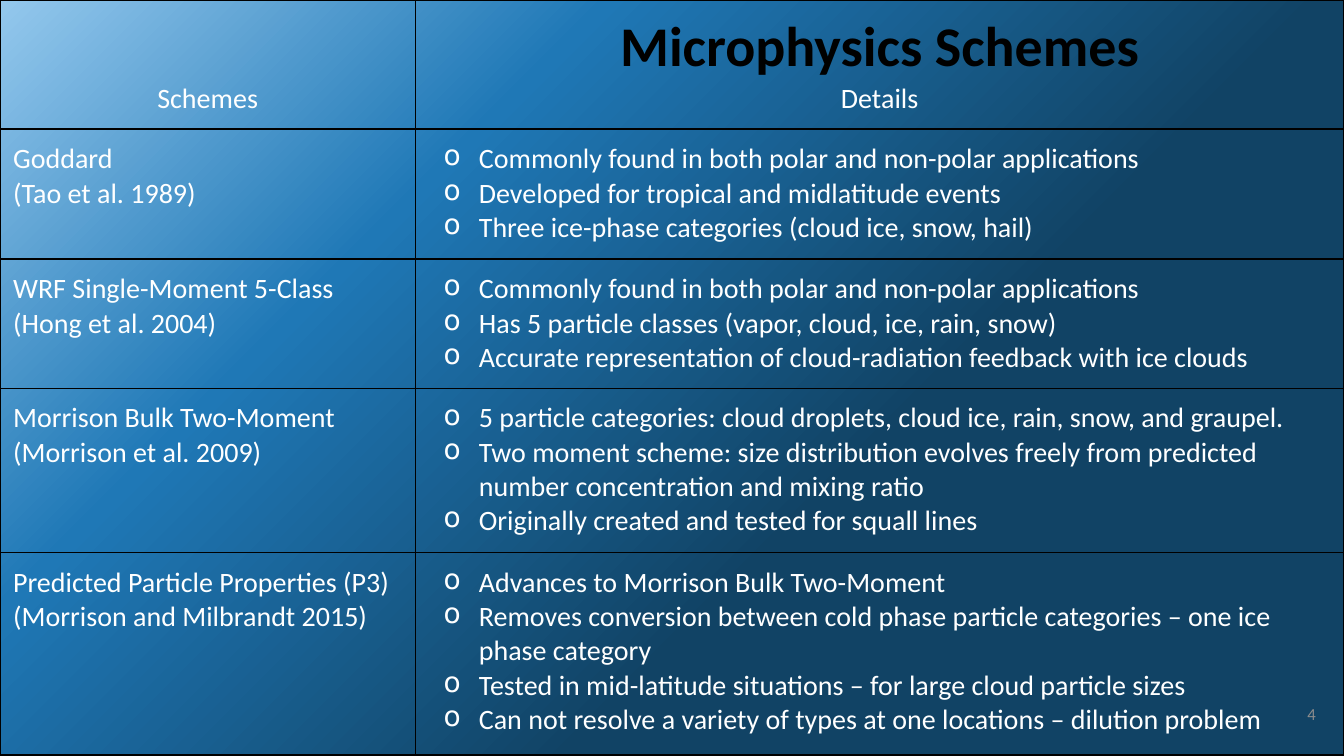
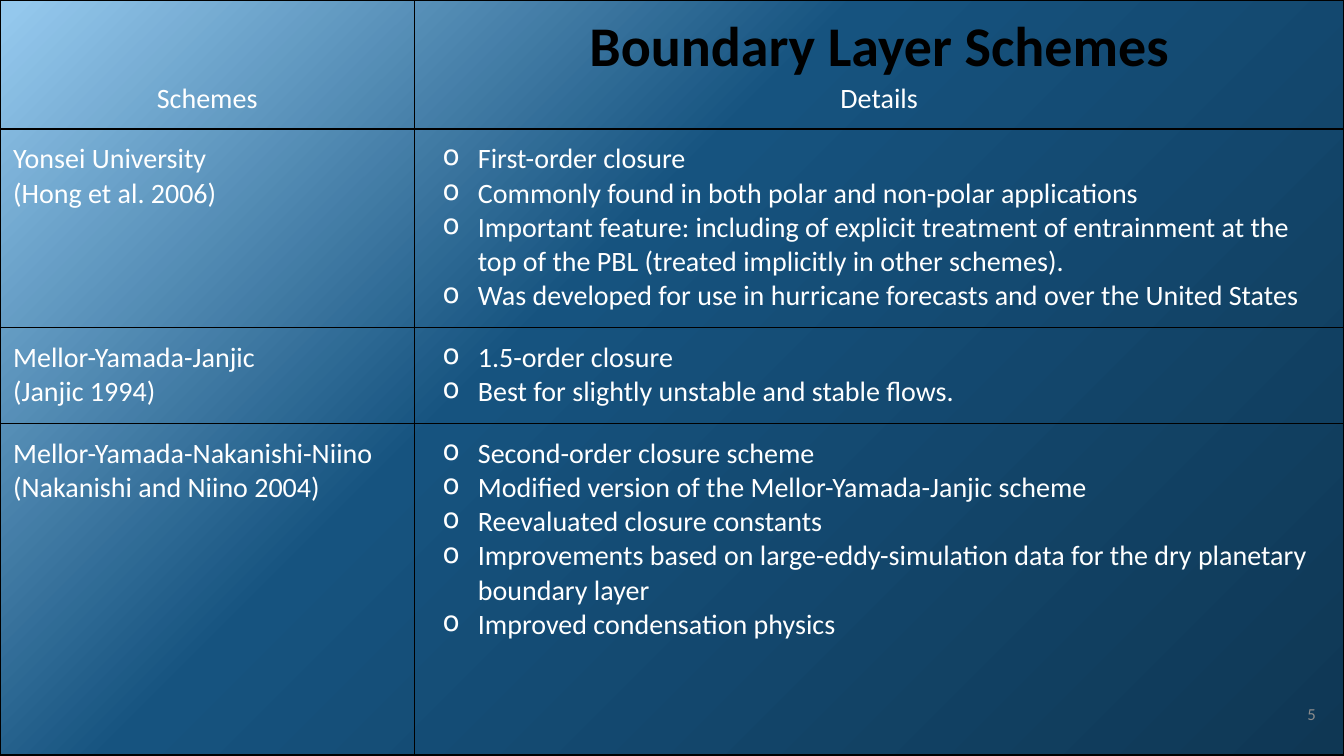
"""Build two slides that compare weather model schemes in tables."""
from dataclasses import dataclass

from pptx import Presentation
from pptx.dml.color import RGBColor
from pptx.enum.text import MSO_ANCHOR, PP_ALIGN
from pptx.oxml import parse_xml
from pptx.oxml.ns import nsdecls
from pptx.slide import Slide
from pptx.table import _Cell
from pptx.text.text import TextFrame
from pptx.util import Inches, Pt

FONT = "Calibri"
WHITE = "FFFFFF"
BLACK = "000000"
GREY = "8C8C8C"
SLIDE_WIDTH = 13.33
SLIDE_HEIGHT = 7.5
TABLE_HEIGHT = 7.49
CELL_MARGIN = 0.13
BULLET_INDENT = 0.5
BULLET_HANGING = 0.35


@dataclass(frozen=True)
class Scheme:
    name: str
    reference: str
    details: tuple[str, ...]
    height: float


@dataclass(frozen=True)
class Gradient:
    stops: tuple[tuple[int, str], ...]
    left_top: int
    right_bottom: int


@dataclass(frozen=True)
class SchemeSlide:
    title: str
    number: int
    name_width: float
    header_height: float
    gradient: Gradient
    schemes: tuple[Scheme, ...]


SLIDES = (
    SchemeSlide(
        "Microphysics Schemes", 4, 4.12, 1.28,
        Gradient(((0, "94C8ED"), (29, "1F78B6"), (63, "114365")), 0, 100),
        (
            Scheme("Goddard", "(Tao et al. 1989)", (
                "Commonly found in both polar and non-polar applications",
                "Developed for tropical and midlatitude events",
                "Three ice-phase categories (cloud ice, snow, hail)",
            ), 1.29),
            Scheme("WRF Single-Moment 5-Class", "(Hong et al. 2004)", (
                "Commonly found in both polar and non-polar applications",
                "Has 5 particle classes (vapor, cloud, ice, rain, snow)",
                "Accurate representation of cloud-radiation feedback with ice clouds",
            ), 1.28),
            Scheme("Morrison Bulk Two-Moment", "(Morrison et al. 2009)", (
                "5 particle categories: cloud droplets, cloud ice, rain, snow, and graupel.",
                "Two moment scheme: size distribution evolves freely from predicted "
                "number concentration and mixing ratio",
                "Originally created and tested for squall lines",
            ), 1.63),
            Scheme("Predicted Particle Properties (P3)", "(Morrison and Milbrandt 2015)", (
                "Advances to Morrison Bulk Two-Moment",
                "Removes conversion between cold phase particle categories – one ice "
                "phase category",
                "Tested in mid-latitude situations – for large cloud particle sizes",
                "Can not resolve a variety of types at one locations – dilution problem",
            ), 2.01),
        ),
    ),
    SchemeSlide(
        "Boundary Layer Schemes", 5, 4.11, 1.28,
        Gradient(((0, "0F3754"), (59, "16537F"), (99, "94C8ED")), 100, 0),
        (
            Scheme("Yonsei University", "(Hong et al. 2006)", (
                "First-order closure",
                "Commonly found in both polar and non-polar applications",
                "Important feature: including of explicit treatment of entrainment at the "
                "top of the PBL (treated implicitly in other schemes).",
                "Was developed for use in hurricane forecasts and over the United States",
            ), 1.97),
            Scheme("Mellor-Yamada-Janjic", "(Janjic 1994)", (
                "1.5-order closure",
                "Best for slightly unstable and stable flows.",
            ), 0.95),
            Scheme("Mellor-Yamada-Nakanishi-Niino", "(Nakanishi and Niino 2004)", (
                "Second-order closure scheme",
                "Modified version of the Mellor-Yamada-Janjic scheme",
                "Reevaluated closure constants",
                "Improvements based on large-eddy-simulation data for the dry planetary "
                "boundary layer",
                "Improved condensation physics",
            ), 3.29),
        ),
    ),
)


def color(value: str) -> RGBColor:
    return RGBColor.from_string(value)


def solid_fill(value: str) -> str:
    return f'<a:solidFill><a:srgbClr val="{value}"/></a:solidFill>'


def write(frame: TextFrame, text: str, *, size: int = 20, fill: str = WHITE,
          bold: bool = False, align: PP_ALIGN = PP_ALIGN.LEFT, bullet: bool = False) -> None:
    first = frame.paragraphs[0]
    paragraph = frame.add_paragraph() if first.runs else first
    paragraph.alignment = align
    run = paragraph.add_run()
    run.text = text
    run.font.name = FONT
    run.font.size = Pt(size)
    run.font.bold = bold
    run.font.color.rgb = color(fill)
    if bullet:
        properties = paragraph._p.get_or_add_pPr()
        properties.set("marL", str(Inches(BULLET_INDENT)))
        properties.set("indent", str(-Inches(BULLET_HANGING)))
        properties.append(parse_xml(
            f'<a:buClr {nsdecls("a")}><a:srgbClr val="{WHITE}"/></a:buClr>'))
        properties.append(parse_xml(f'<a:buChar {nsdecls("a")} char="o"/>'))


def set_background(slide: Slide, gradient: Gradient) -> None:
    stops = "".join(
        f'<a:gs pos="{position * 1000}"><a:srgbClr val="{value}"/></a:gs>'
        for position, value in gradient.stops)
    start, end = gradient.left_top * 1000, gradient.right_bottom * 1000
    slide.element.cSld.insert(0, parse_xml(
        f'<p:bg {nsdecls("p", "a")}><p:bgPr><a:gradFill rotWithShape="1">'
        f'<a:gsLst>{stops}</a:gsLst><a:path path="circle">'
        f'<a:fillToRect l="{start}" t="{start}" r="{end}" b="{end}"/></a:path>'
        '</a:gradFill><a:effectLst/></p:bgPr></p:bg>'))


def format_cell(cell: _Cell) -> None:
    margin = Inches(CELL_MARGIN)
    cell.margin_left = cell.margin_right = margin
    cell.margin_top = cell.margin_bottom = margin
    cell.fill.background()
    properties = cell._tc.get_or_add_tcPr()
    for index, side in enumerate("LRTB"):
        properties.insert(index, parse_xml(
            f'<a:ln{side} {nsdecls("a")} w="{Pt(1)}">{solid_fill(BLACK)}</a:ln{side}>'))


def add_scheme_table(slide: Slide, content: SchemeSlide) -> None:
    table = slide.shapes.add_table(
        len(content.schemes) + 1, 2, Inches(0), Inches(0),
        Inches(SLIDE_WIDTH), Inches(TABLE_HEIGHT)).table
    table.first_row = table.horz_banding = False
    table.columns[0].width = Inches(content.name_width)
    table.columns[1].width = Inches(SLIDE_WIDTH - content.name_width)
    heights = (content.header_height, *(scheme.height for scheme in content.schemes))
    for row, height in zip(table.rows, heights):
        row.height = Inches(height)
    for cell in table.iter_cells():
        format_cell(cell)

    name_header, detail_header = table.cell(0, 0), table.cell(0, 1)
    name_header.vertical_anchor = MSO_ANCHOR.BOTTOM
    write(name_header.text_frame, "Schemes", align=PP_ALIGN.CENTER)
    write(detail_header.text_frame, content.title, size=40, fill=BLACK, bold=True,
          align=PP_ALIGN.CENTER)
    write(detail_header.text_frame, "Details", align=PP_ALIGN.CENTER)
    for row_index, scheme in enumerate(content.schemes, start=1):
        for line in (scheme.name, scheme.reference):
            write(table.cell(row_index, 0).text_frame, line)
        for detail in scheme.details:
            write(table.cell(row_index, 1).text_frame, detail, bullet=True)


def add_slide_number(slide: Slide, number: int) -> None:
    frame = slide.shapes.add_textbox(
        Inches(12.35), Inches(6.8), Inches(0.8), Inches(0.57)).text_frame
    frame.word_wrap = True
    frame.vertical_anchor = MSO_ANCHOR.MIDDLE
    frame.margin_left = frame.margin_right = Inches(0.1)
    frame.margin_top = frame.margin_bottom = Inches(0.1)
    write(frame, str(number), size=12, fill=GREY, align=PP_ALIGN.RIGHT)


def main() -> None:
    presentation = Presentation()
    presentation.slide_width = Inches(SLIDE_WIDTH)
    presentation.slide_height = Inches(SLIDE_HEIGHT)
    for content in SLIDES:
        slide = presentation.slides.add_slide(presentation.slide_layouts[6])
        set_background(slide, content.gradient)
        add_scheme_table(slide, content)
        add_slide_number(slide, content.number)
    presentation.save("out.pptx")


if __name__ == "__main__":
    main()
